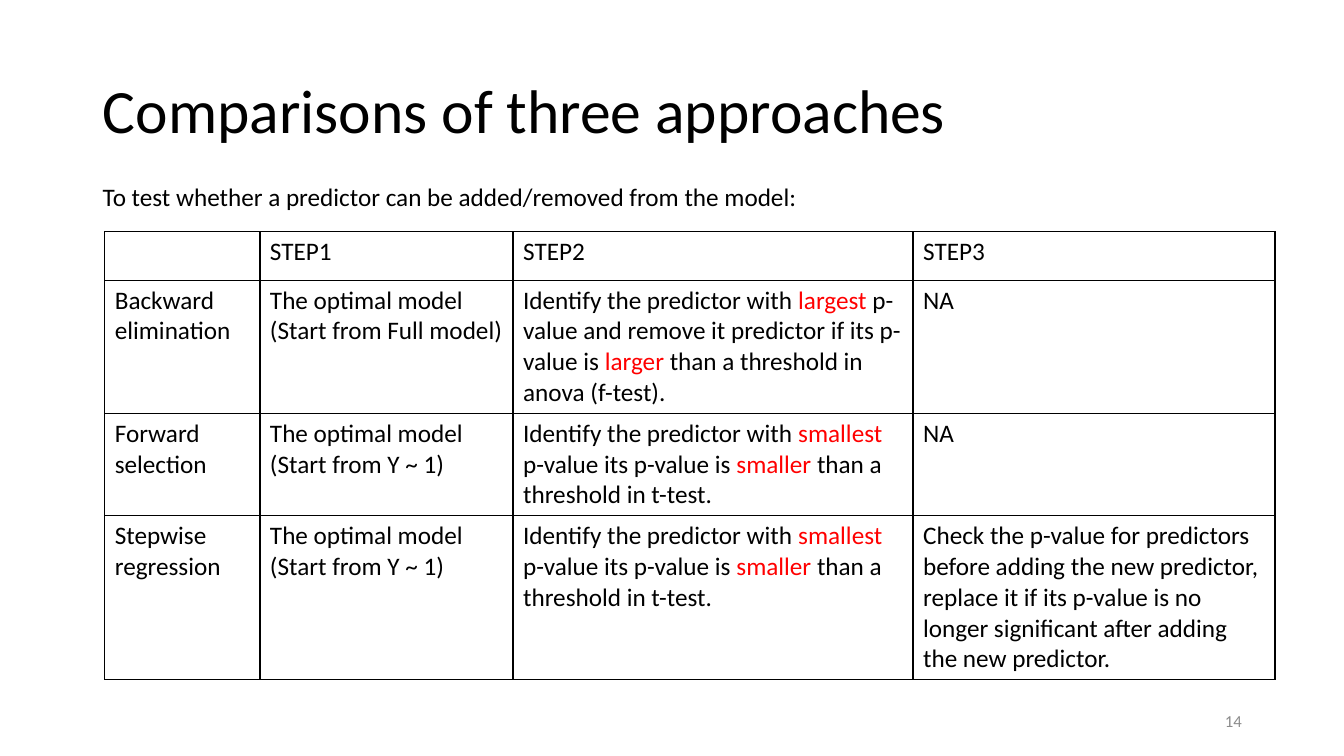
import pptx
import pptx.util
import pptx.dml.color
import pptx.enum.text
import pptx.oxml
import pptx.oxml.ns

Cm = pptx.util.Cm
Pt = pptx.util.Pt
Align = pptx.enum.text.PP_ALIGN
Anchor = pptx.enum.text.MSO_ANCHOR
Fit = pptx.enum.text.MSO_AUTO_SIZE

INK = {"text": "000000", "mark": "FF0000", "page": "8C8C8C"}
COLS = [3.91, 6.38, 10.08, 9.12]
ROWS = [1.22, 3.0, 2.31, 3.71]

START = "The optimal model (Start from Y ~ 1)"
SMALL = ("Identify the predictor with *smallest* p-value its p-value is "
         "*smaller* than a threshold in t-test.")
LARGE = ("Identify the predictor with *largest* p-value and remove it predictor "
         "if its p-value is *larger* than a threshold in anova (f-test).")
CHECK = ("Check the p-value for predictors before adding the new predictor, "
         "replace it if its p-value is no longer significant after adding "
         "the new predictor.")
STEPS = [
    ["", "STEP1", "STEP2", "STEP3"],
    ["Backward elimination", "The optimal model (Start from Full model)", LARGE, "NA"],
    ["Forward selection", START, SMALL, "NA"],
    ["Stepwise regression", START, SMALL, CHECK],
]


class Deck:
    """Holds the style and the current slide, and adds elements to it."""

    def __init__(self, font):
        self.font = font
        self.show = pptx.Presentation()
        self.show.slide_width = Cm(33.87)
        self.show.slide_height = Cm(19.05)
        self.slide = self.show.slides.add_slide(self.show.slide_layouts[5])

    def words(self, frame, text, size, ink="text", align=Align.LEFT):
        para = frame.paragraphs[0]
        para.alignment = align
        para.font.size = Pt(size)
        for num, part in enumerate(text.split("*")):
            if part:
                run = para.add_run()
                run.text = part
                run.font.name = self.font
                run.font.size = Pt(size)
                tone = INK["mark" if num % 2 else ink]
                run.font.color.rgb = pptx.dml.color.RGBColor.from_string(tone)
        return para

    def title(self, text, left, top, width, height):
        shape = self.slide.shapes.title
        shape.left, shape.top = Cm(left), Cm(top)
        shape.width, shape.height = Cm(width), Cm(height)
        frame = shape.text_frame
        frame.auto_size = Fit.NONE
        frame.vertical_anchor = Anchor.MIDDLE
        self.words(frame, text, 44).line_spacing = 0.9

    def label(self, text, box, size, ink="text", align=Align.LEFT,
              anchor=Anchor.TOP, wrap=True, fit=Fit.NONE):
        frame = self.slide.shapes.add_textbox(*map(Cm, box)).text_frame
        frame.word_wrap = wrap
        frame.auto_size = fit
        frame.vertical_anchor = anchor
        self.words(frame, text, size, ink, align)

    def border(self, cell):
        props = cell._tc.get_or_add_tcPr()
        for side in "LRTB":
            props.append(pptx.oxml.parse_xml(
                f'<a:ln{side} {pptx.oxml.ns.nsdecls("a")} w="12700"><a:solidFill>'
                f'<a:srgbClr val="{INK["text"]}"/></a:solidFill></a:ln{side}>'))

    def table(self, data, left, top, cols, rows):
        grid = self.slide.shapes.add_table(
            len(rows), len(cols), Cm(left), Cm(top),
            Cm(sum(cols)), Cm(sum(rows))).table
        grid.first_row = grid.horz_banding = False
        for col, width in zip(grid.columns, cols):
            col.width = Cm(width)
        for row, height, texts in zip(grid.rows, rows, data):
            row.height = Cm(height)
            for cell, text in zip(row.cells, texts):
                self.border(cell)
                cell.fill.background()
                self.words(cell.text_frame, text, 18)

    def save(self):
        self.show.save("out.pptx")


def main():
    deck = Deck("Calibri")
    deck.title("Comparisons of three approaches", 2.34, 1.02, 29.21, 3.68)
    deck.table(STEPS, 2.64, 5.84, COLS, ROWS)
    deck.label("To test whether a predictor can be added/removed from the model:",
               (2.34, 4.45, 18.36, 1.02), 18, wrap=False, fit=Fit.SHAPE_TO_FIT_TEXT)
    deck.label("14", (23.93, 17.65, 7.62, 1.02), 12, "page", Align.RIGHT, Anchor.MIDDLE)
    deck.save()


if __name__ == "__main__":
    main()
